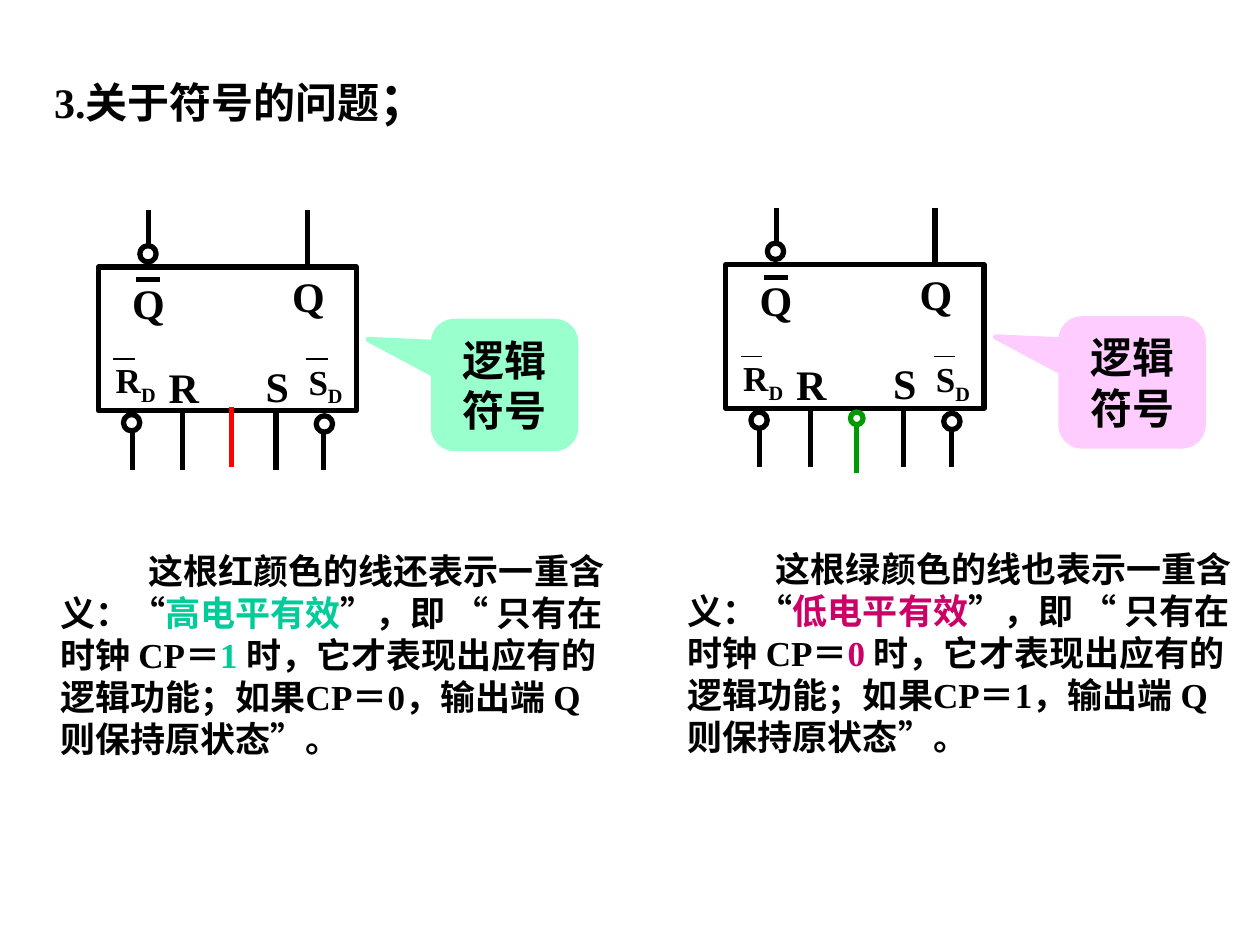
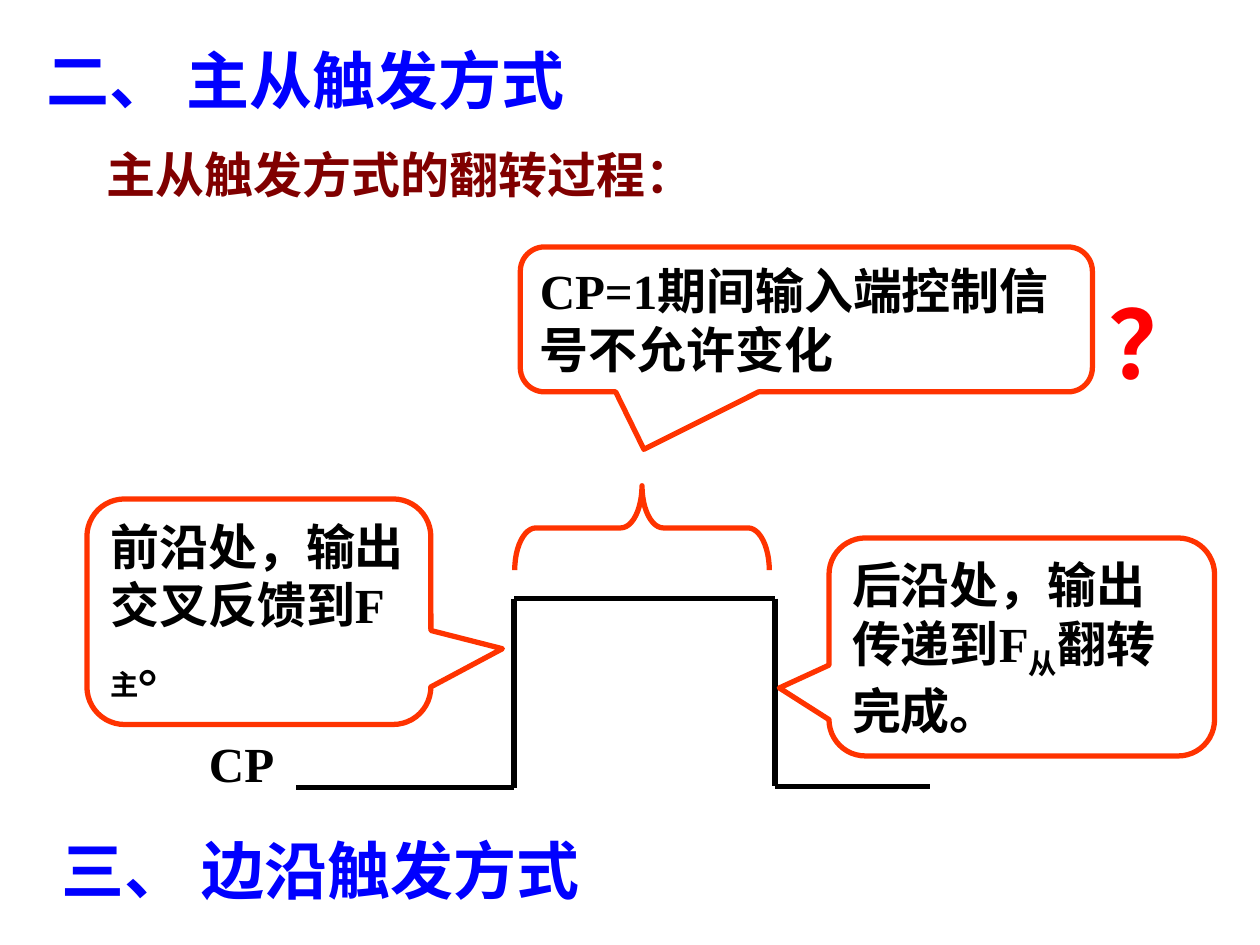
from itertools import pairwise

from lxml import etree
from pptx import Presentation
from pptx.dml.color import RGBColor
from pptx.enum.shapes import MSO_CONNECTOR, MSO_SHAPE
from pptx.enum.text import MSO_ANCHOR, MSO_AUTO_SIZE, PP_ALIGN
from pptx.oxml.ns import qn
from pptx.util import Inches, Pt

STRAIGHT = MSO_CONNECTOR.STRAIGHT
RECT, OVAL = MSO_SHAPE.RECTANGLE, MSO_SHAPE.OVAL
CALLOUT, BRACE = MSO_SHAPE.ROUNDED_RECTANGULAR_CALLOUT, MSO_SHAPE.LEFT_BRACE
TOP, MIDDLE = MSO_ANCHOR.TOP, MSO_ANCHOR.MIDDLE
LEFT, CENTER = PP_ALIGN.LEFT, PP_ALIGN.CENTER

COLORS = {
    "ink": "000000", "white": "FFFFFF", "heading": "0000FF", "subheading": "800000",
    "red": "FF0000", "green": "009900", "orange": "FF3300",
    "mint": "99FFCC", "pink": "FFCCFF", "high": "00CC99", "low": "CC0066",
}
LATIN_FONT, CJK_FONT = "Times New Roman", "Noto Sans CJK SC"
TITLE_ONLY = 5
STROKE = 3


def rgb(name):
    return RGBColor.from_string(COLORS[name])


def inches(*lengths):
    return [Inches(length) for length in lengths]


def write(shape, runs, size, color="ink", align=LEFT, anchor=TOP,
          margin=0, indent=0, latin=LATIN_FONT):
    """Fill one paragraph; each run is a string or (text, run options)."""
    frame = shape.text_frame
    frame.word_wrap = True
    frame.auto_size = MSO_AUTO_SIZE.NONE
    frame.vertical_anchor = anchor
    paragraph = frame.paragraphs[0]
    paragraph.alignment = align
    properties = paragraph._p.get_or_add_pPr()
    properties.set("marL", str(Inches(margin)))
    properties.set("indent", str(Inches(indent)))
    font = paragraph.font
    font.name, font.size, font.bold = latin, Pt(size), True
    font.color.rgb = rgb(color)
    east_asian = etree.SubElement(properties.find(qn("a:defRPr")), qn("a:ea"))
    east_asian.set("typeface", CJK_FONT)
    for item in runs:
        text, options = (item, {}) if isinstance(item, str) else item
        run = paragraph.add_run()
        run.text = text
        if "color" in options:
            run.font.color.rgb = rgb(options["color"])
        if "size" in options:
            run.font.size = Pt(options["size"])
        if options.get("subscript"):
            run._r.get_or_add_rPr().set("baseline", "-25000")


def add_label(shapes, box, runs, size, **options):
    label = shapes.add_textbox(*inches(*box))
    write(label, runs, size, **options)
    return label


def add_title(slide, box, runs, size, **options):
    title = slide.shapes.title
    title.left, title.top, title.width, title.height = inches(*box)
    write(title, runs, size, **options)


def add_outline(shapes, kind, box, line="ink", fill=None, adjustments=()):
    shape = shapes.add_shape(kind, *inches(*box))
    shape.shadow.inherit = False
    if fill:
        shape.fill.solid()
        shape.fill.fore_color.rgb = rgb(fill)
    else:
        shape.fill.background()
    shape.line.color.rgb = rgb(line)
    shape.line.width = Pt(STROKE)
    for index, value in enumerate(adjustments):
        shape.adjustments[index] = value
    return shape


def add_line(shapes, start, end, color="ink", width=STROKE):
    line = shapes.add_connector(STRAIGHT, *inches(*start, *end))
    line.line.color.rgb = rgb(color)
    line.line.width = Pt(width)
    etree.SubElement(line._element.spPr, qn("a:effectLst"))


def add_flip_flop(slide, x, y, clock_color, inverted_clock):
    """Draw the logic symbol with the top of its output pins at y."""
    shapes = slide.shapes.add_group_shape().shapes
    add_outline(shapes, RECT, (x + 0.4, y + 0.45, 2.05, 1.14))
    for dx, dy in [(0.73, 0.28), (0.6, 1.62), (2.13, 1.63)]:
        add_outline(shapes, OVAL, (x + dx, y + dy, 0.13, 0.13))

    low_d = ("D", {"subscript": True})
    for runs, dx, dy, width, height, size in [
        (["Q"], 1.84, 0.43, 0.51, 0.5, 24),
        (["Q"], 0.57, 0.48, 0.51, 0.5, 24),
        (["R", low_d], 0.44, 1.13, 0.65, 0.43, 20),
        (["S", low_d], 1.97, 1.14, 0.65, 0.43, 20),
        (["R"], 0.86, 1.15, 0.49, 0.5, 24),
        (["S"], 1.63, 1.14, 0.49, 0.5, 24),
    ]:
        add_label(shapes, (x + dx, y + dy, width, height), runs, size)

    for dx, dy, length, weight in [(0.7, 0.55, 0.19, STROKE),
                                   (0.52, 1.18, 0.17, 0.75), (2.05, 1.18, 0.17, 0.75)]:
        add_line(shapes, (x + dx, y + dy), (x + dx + length, y + dy), width=weight)

    for dx, pin_top, pin_bottom in [(0.8, 0, 0.27), (2.06, 0, 0.47),
                                    (0.67, 1.75, 2.06), (1.07, 1.61, 2.06),
                                    (1.81, 1.59, 2.06), (2.19, 1.75, 2.06)]:
        add_line(shapes, (x + dx, y + pin_top), (x + dx, y + pin_bottom))

    if inverted_clock:
        add_line(shapes, (x + 1.44, y + 1.63), (x + 1.44, y + 2.1), clock_color)
        add_outline(shapes, OVAL, (x + 1.39, y + 1.62, 0.1, 0.1), clock_color, "white")
    else:
        add_line(shapes, (x + 1.46, y + 1.56), (x + 1.46, y + 2.04), clock_color)


def add_symbol_panel(slide, x, y, clock_color, inverted_clock, callout_color,
                     emphasis, line_phrase, level_phrase, active, idle):
    callout = add_outline(slide.shapes, CALLOUT, (x + 3.06, y + 0.88, 1.13, 1.01),
                          callout_color, callout_color, (-0.958, -0.357, 0.167))
    write(callout, ["逻辑符号"], 24, align=CENTER, anchor=MIDDLE)
    highlight = {"color": emphasis}
    add_label(slide.shapes, (x, y + 2.54, 4.64, 1.97), [
        f"这根{line_phrase}表示一重含义：“",
        (level_phrase, highlight),
        "”，即 “ 只有在时钟 CP＝",
        (f"{active} ", highlight),
        f"时，它才表现出应有的逻辑功能；如果CP＝{idle}，输出端 Q 则保持原状态”。",
    ], 20, anchor=MIDDLE, indent=0.7)
    add_flip_flop(slide, x, y, clock_color, inverted_clock)


def add_clock_pulse(slide, x, y):
    """Draw the CP waveform; y is the high level."""
    shapes = slide.shapes.add_group_shape().shapes
    corners = [(0, 1.5), (1.73, 1.5), (1.73, 0), (3.8, 0), (3.8, 1.49), (5.03, 1.49)]
    for (x1, y1), (x2, y2) in pairwise(corners):
        add_line(shapes, (x + x1, y + y1), (x + x2, y + y2))
    add_label(slide.shapes, (x - 0.79, y + 1.02, 1.31, 0.57), ["CP"], 28)


def add_remark(slide, box, pointer, runs):
    remark = add_outline(slide.shapes, CALLOUT, box, "orange",
                         adjustments=(*pointer, 0.167))
    write(remark, runs, 28)


def build_symbol_slide(prs):
    slide = prs.slides.add_slide(prs.slide_layouts[TITLE_ONLY])
    add_title(slide, (0.33, 0.5, 9.17, 0.57),
              ["3.关于符号的问题", ("；", {"size": 28})], 24, margin=0.33, indent=-0.33)
    add_symbol_panel(slide, 0.38, 1.67, "red", False, "mint", "high",
                     "红颜色的线还", "高电平有效", 1, 0)
    add_symbol_panel(slide, 5.36, 1.65, "green", True, "pink", "low",
                     "绿颜色的线也", "低电平有效", 0, 1)


def build_trigger_slide(prs):
    slide = prs.slides.add_slide(prs.slide_layouts[TITLE_ONLY])
    add_title(slide, (0.27, 0.28, 4.54, 0.7), ["二、 主从触发方式"], 36, color="heading")
    add_label(slide.shapes, (0.75, 1.1, 5.94, 0.57), ["主从触发方式的翻转过程："], 28,
              color="subheading")
    add_clock_pulse(slide, 2.35, 4.75)
    add_remark(slide, (0.69, 3.96, 2.73, 1.79), (0.708, 0.164),
               ["前沿处，输出交叉反馈到F", ("主", {"subscript": True}), "。"])
    add_remark(slide, (6.58, 4.27, 3.06, 1.73), (-0.629, 0.188),
               ["后沿处，输出传递到F", ("从", {"subscript": True}), "翻转完成。"])
    add_remark(slide, (4.13, 1.96, 4.54, 1.15), (-0.284, 0.897),
               ["CP=1期间输入端控制信号不允许变化"])
    brace = add_outline(slide.shapes, BRACE, (4.76, 3.18, 0.67, 2.02), "orange",
                        adjustments=(0.252, 0.5))
    brace.rotation = 90
    question = add_label(slide.shapes, (8.79, 2.21, 0.76, 0.75), ["？"], 54,
                         color="red", align=CENTER, latin=CJK_FONT)
    question.text_frame.word_wrap = False
    add_label(slide.shapes, (0.39, 6.55, 4.54, 0.71), ["三、 边沿触发方式"], 36,
              color="heading")


def main():
    prs = Presentation()
    prs.slide_width, prs.slide_height = inches(10, 7.5)
    build_symbol_slide(prs)
    build_trigger_slide(prs)
    prs.save("out.pptx")


if __name__ == "__main__":
    main()
